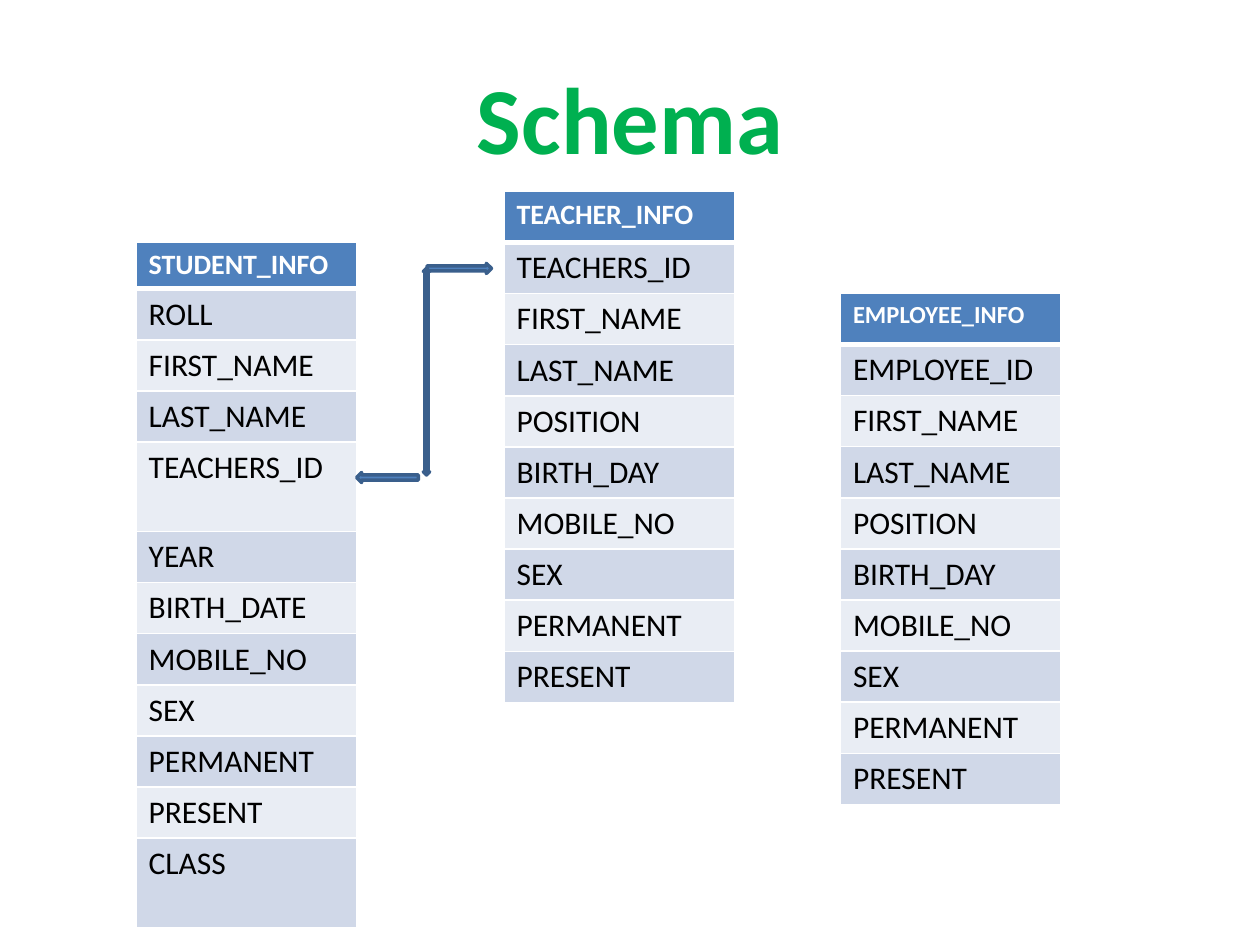
from lxml.etree import SubElement
from pptx import Presentation
from pptx.dml.color import RGBColor
from pptx.enum.shapes import MSO_SHAPE
from pptx.enum.text import MSO_ANCHOR, PP_ALIGN
from pptx.oxml.ns import qn
from pptx.util import Inches, Pt

WHITE = RGBColor(0xFF, 0xFF, 0xFF)
BLACK = RGBColor(0x00, 0x00, 0x00)
GREEN = RGBColor(0x00, 0xB0, 0x50)
BLUE = RGBColor(0x4F, 0x81, 0xBD)
DARK_BLUE = RGBColor(0x3A, 0x5F, 0x8C)
BAND_DARK = RGBColor(0xD0, 0xD8, 0xE8)
BAND_LIGHT = RGBColor(0xE9, 0xED, 0xF4)

ROW_HEIGHT = 0.405
TALL_ROW_HEIGHT = 0.71

PERSON_FIELDS = ["FIRST_NAME", "LAST_NAME", "POSITION", "BIRTH_DAY",
                 "MOBILE_NO", "SEX", "PERMANENT", "PRESENT"]
STUDENT_FIELDS = ["ROLL", "FIRST_NAME", "LAST_NAME", "TEACHERS_ID", "YEAR",
                  "BIRTH_DATE", "MOBILE_NO", "SEX", "PERMANENT", "PRESENT",
                  "CLASS"]


def add_run(paragraph, text, size, color, bold=False):
    """Add one formatted run to a paragraph."""
    run = paragraph.add_run()
    run.text = text
    run.font.name = "Calibri"
    run.font.size = Pt(size)
    run.font.bold = bold
    run.font.color.rgb = color


def set_borders(cell, top, bottom):
    """Give a cell white borders; top and bottom widths are in points."""
    properties = cell._tc.get_or_add_tcPr()
    for side, width in (("L", 1), ("R", 1), ("T", top), ("B", bottom)):
        line = SubElement(properties, qn(f"a:ln{side}"), w=str(Pt(width)))
        fill = SubElement(line, qn("a:solidFill"))
        SubElement(fill, qn("a:srgbClr"), val=str(WHITE))


def add_title(slide, left, top, width, height):
    """Add the centred slide title."""
    box = slide.shapes.add_textbox(Inches(left), Inches(top),
                                   Inches(width), Inches(height))
    frame = box.text_frame
    frame.word_wrap = True
    frame.vertical_anchor = MSO_ANCHOR.MIDDLE
    paragraph = frame.paragraphs[0]
    paragraph.alignment = PP_ALIGN.CENTER
    add_run(paragraph, "Schema", 54, GREEN, True)


def add_schema_table(slide, left, top, width, name, name_size, fields,
                     header_height=ROW_HEIGHT, tall_fields=()):
    """Add a one-column table: a header, then one banded row per field."""
    heights = [header_height] + [
        TALL_ROW_HEIGHT if field in tall_fields else ROW_HEIGHT
        for field in fields]
    frame = slide.shapes.add_table(len(heights), 1, Inches(left), Inches(top),
                                   Inches(width), Inches(sum(heights)))
    table = frame.table
    for index, (text, height) in enumerate(zip([name, *fields], heights)):
        table.rows[index].height = Inches(height)
        cell = table.cell(index, 0)
        is_header = index == 0
        set_borders(cell, 3 if index == 1 else 1, 3 if is_header else 1)
        cell.fill.solid()
        paragraph = cell.text_frame.paragraphs[0]
        if is_header:
            cell.fill.fore_color.rgb = BLUE
            add_run(paragraph, text, name_size, WHITE, True)
        else:
            cell.fill.fore_color.rgb = BAND_DARK if index % 2 else BAND_LIGHT
            add_run(paragraph, text, 18, BLACK)


def add_relation(slide, left, top, width, height):
    """Add the three block arrows linking the two TEACHERS_ID fields."""
    thickness = 0.08
    arrows = [
        (MSO_SHAPE.RIGHT_ARROW, left + 0.56, top, width - 0.56, thickness),
        (MSO_SHAPE.LEFT_ARROW, left, top + height - thickness, 0.49, thickness),
        (MSO_SHAPE.UP_DOWN_ARROW, left + 0.53, top + 0.04, 0.05, height - 0.1),
    ]
    for kind, *box in arrows:
        arrow = slide.shapes.add_shape(kind, *map(Inches, box))
        arrow.shadow.inherit = False
        arrow.fill.solid()
        arrow.fill.fore_color.rgb = BLUE
        arrow.line.color.rgb = DARK_BLUE
        arrow.line.width = Pt(2)


def build_schema_slide(presentation):
    """Add the slide with the title, three tables and their relation."""
    slide = presentation.slides.add_slide(presentation.slide_layouts[6])
    add_schema_table(slide, 4, 1.52, 1.83, "TEACHER_INFO", 16,
                     ["TEACHERS_ID", *PERSON_FIELDS])
    add_schema_table(slide, 1.08, 1.92, 1.75, "STUDENT_INFO", 16,
                     STUDENT_FIELDS, 0.37, ("TEACHERS_ID", "CLASS"))
    add_schema_table(slide, 6.67, 2.33, 1.75, "EMPLOYEE_INFO", 14,
                     ["EMPLOYEE_ID", *PERSON_FIELDS])
    add_relation(slide, 2.83, 2.09, 1.07, 1.74)
    add_title(slide, 0.5, 0.3, 9, 1.25)


presentation = Presentation()
presentation.slide_width = Inches(10)
presentation.slide_height = Inches(7.5)
build_schema_slide(presentation)
presentation.save("out.pptx")
